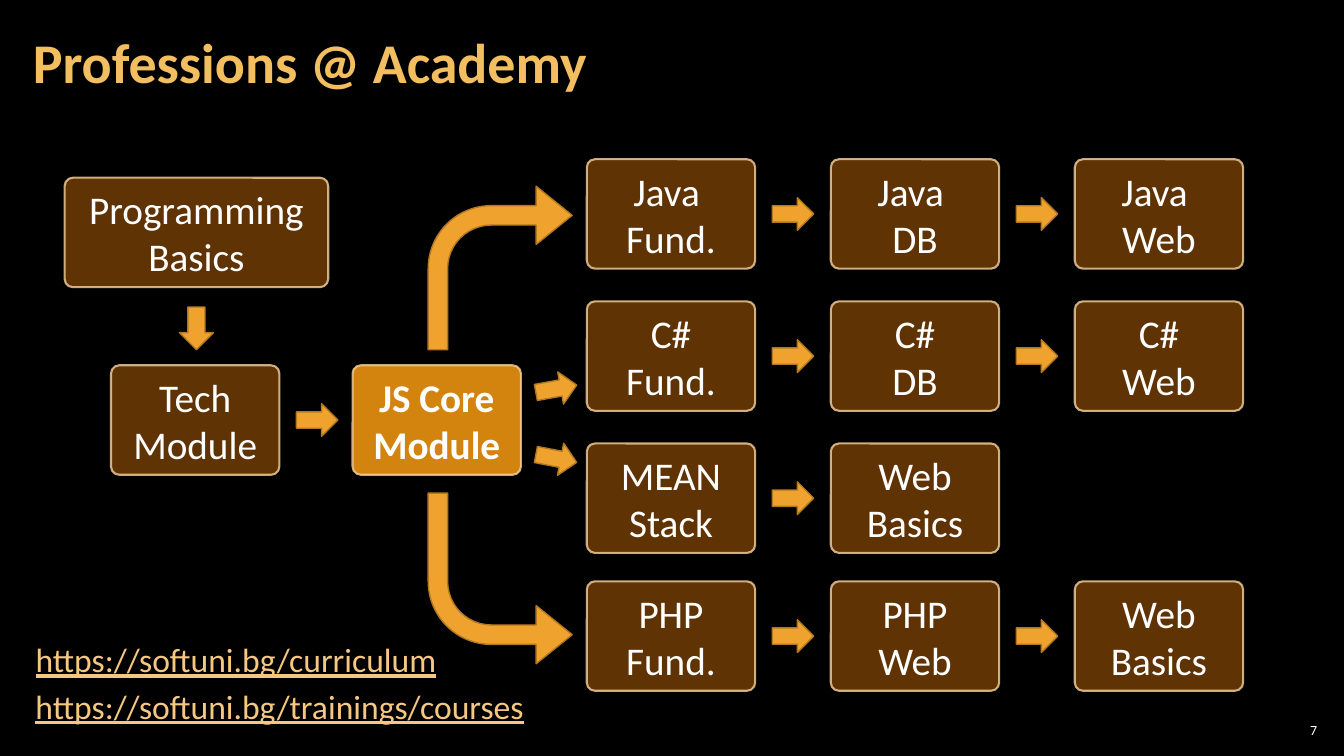
from lxml import etree
from pptx import Presentation, util as u
from pptx.dml.color import RGBColor
from pptx.enum import shapes, text
from pptx.oxml import ns

SHAPE = shapes.MSO_SHAPE
ALIGN = text.PP_ALIGN


def colour(target, value):
    target.rgb = RGBColor.from_string(value)


class Roadmap:
    left, top = 5.82, 1.58
    column_width, row_height = 2.42, 1.41
    font = "Calibri"
    white, box_fill, box_line = "FFFFFF", "663606", "F8D49E"
    arrow_fill, arrow_line = "F0A22E", "B27822"

    def __init__(self, slide):
        self.slide = slide
        slide.background.fill.solid()
        colour(slide.background.fill.fore_color, "000000")

    def place(self, column, row, columns, rows):
        return (u.Inches(self.left + column * self.column_width),
                u.Inches(self.top + row * self.row_height),
                u.Inches(columns * self.column_width),
                u.Inches(rows * self.row_height))

    def set_text(self, shape, lines, size, ink, align, frame_format=None, **font_format):
        frame = shape.text_frame
        frame_values = {"word_wrap": True, "vertical_anchor": text.MSO_ANCHOR.MIDDLE}
        for name, value in {**frame_values, **(frame_format or {})}.items():
            setattr(frame, name, value)
        for index, line in enumerate(lines):
            paragraph = frame.add_paragraph() if index else frame.paragraphs[0]
            paragraph.text = line
            paragraph.alignment = align
            font_values = {"name": self.font, "size": u.Pt(size), **font_format}
            for name, value in font_values.items():
                setattr(paragraph.runs[0].font, name, value)
                setattr(paragraph.font, name, value)
            for run in paragraph.runs:
                for name, value in font_values.items():
                    setattr(run.font, name, value)
                colour(run.font.color, ink)
        return frame

    def shape(self, kind, area, fill, line, width, adjustments=(), fill_alpha=None, line_alpha=None):
        shape = self.slide.shapes.add_shape(kind, *self.place(*area))
        shape.shadow.inherit = False
        shape.fill.solid()
        colour(shape.fill.fore_color, fill)
        shape.line.width = u.Pt(width)
        shape.line.fill.solid()
        colour(shape.line.fill.fore_color, line)
        properties = shape.element.spPr
        for parent, alpha in ((properties, fill_alpha), (properties.find(ns.qn("a:ln")), line_alpha)):
            if alpha:
                ink = parent.find(ns.qn("a:solidFill")).find(ns.qn("a:srgbClr"))
                etree.SubElement(ink, ns.qn("a:alpha")).set("val", str(alpha * 1000))
        for index, value in enumerate(adjustments):
            shape.adjustments[index] = value
        return shape

    def box(self, column, row, *lines, columns=0.69, fill=box_fill, fill_alpha=95, bold=False):
        shape = self.shape(SHAPE.ROUNDED_RECTANGLE, (column, row, columns, 0.77), fill,
                           self.box_line, 1.5, [0.075], fill_alpha, 80)
        self.set_text(shape, lines, 28, self.white, ALIGN.CENTER, bold=bold)

    def arrow(self, column, row, columns=0.17, rows=0.23, kind=SHAPE.RIGHT_ARROW, rotation=0):
        shape = self.shape(kind, (column, row, columns, rows), self.arrow_fill, self.arrow_line, 1)
        shape.rotation = rotation

    def bent_arrow(self, row, rows, flipped=False):
        shape = self.shape(SHAPE.BENT_ARROW, (-0.65, row, 0.59, rows), self.arrow_fill,
                           self.arrow_line, 1, [0.135, 0.202, 0.25, 0.438])
        if flipped:
            shape.element.spPr.find(ns.qn("a:xfrm")).set("flipV", "1")

    def label(self, area, line, size, ink, align=ALIGN.LEFT, frame_format=None, **font_format):
        shape = self.slide.shapes.add_textbox(*self.place(*area))
        return self.set_text(shape, [line], size, ink, align, frame_format, **font_format)


def main():
    presentation = Presentation()
    presentation.slide_width = u.Inches(13.33)
    presentation.slide_height = u.Inches(7.5)
    roadmap = Roadmap(presentation.slides.add_slide(presentation.slide_layouts[6]))

    margin = u.Inches(0.04)
    title_margins = {"margin_left": u.Inches(0.12), "margin_right": u.Inches(0.12),
                     "margin_top": margin, "margin_bottom": margin}
    title = roadmap.label((-2.32, -1.09, 4.33, 0.86), "Professions @ Academy", 40, "F3BE60",
                          frame_format=title_margins, bold=True)
    title.paragraphs[0].line_spacing = 0.9

    roadmap.box(-2.14, 0.13, "Programming\vBasics", columns=1.08)
    roadmap.box(-1.95, 1.45, "Tech Module")
    roadmap.box(-0.96, 1.45, "JS Core Module", fill="D3840F", fill_alpha=None, bold=True)
    roadmap.arrow(-1.67, 1.04, 0.14, 0.3, SHAPE.DOWN_ARROW)
    roadmap.arrow(-1.19, 1.72)
    roadmap.arrow(-0.21, 1.5, rotation=349.8)
    roadmap.arrow(-0.21, 1.99, rotation=10.9)
    roadmap.bent_arrow(0.19, 1.15)
    roadmap.bent_arrow(2.35, 1.2, flipped=True)

    tracks = [
        (0, [("Java ", "Fund."), ("Java ", "DB"), ("Java ", "Web")]),
        (1, [("C#", "Fund."), ("C#", "DB"), ("C#", "Web")]),
        (2, [("MEAN", "Stack"), ("Web", "Basics")]),
        (2.97, [("PHP", "Fund."), ("PHP", "Web"), ("Web", "Basics")]),
    ]
    for row, courses in tracks:
        for column, lines in enumerate(courses):
            roadmap.box(column, row, *lines)
            if column:
                roadmap.arrow(column - 0.24, row + 0.27)

    links = [(3.34, 1.78, "https://softuni.bg/curriculum"),
             (3.67, 2.14, "https://softuni.bg/trainings/courses")]
    for row, columns, address in links:
        roadmap.label((-2.3, row, columns, 0.35), address, 24, "F6C781",
                      frame_format={"word_wrap": False, "vertical_anchor": text.MSO_ANCHOR.TOP},
                      underline=True)

    number_margins = dict.fromkeys(title_margins, margin)
    roadmap.label((2.82, 3.94, 0.19, 0.15), "7", 10, roadmap.white, ALIGN.RIGHT, number_margins)
    presentation.save("out.pptx")


if __name__ == "__main__":
    main()
